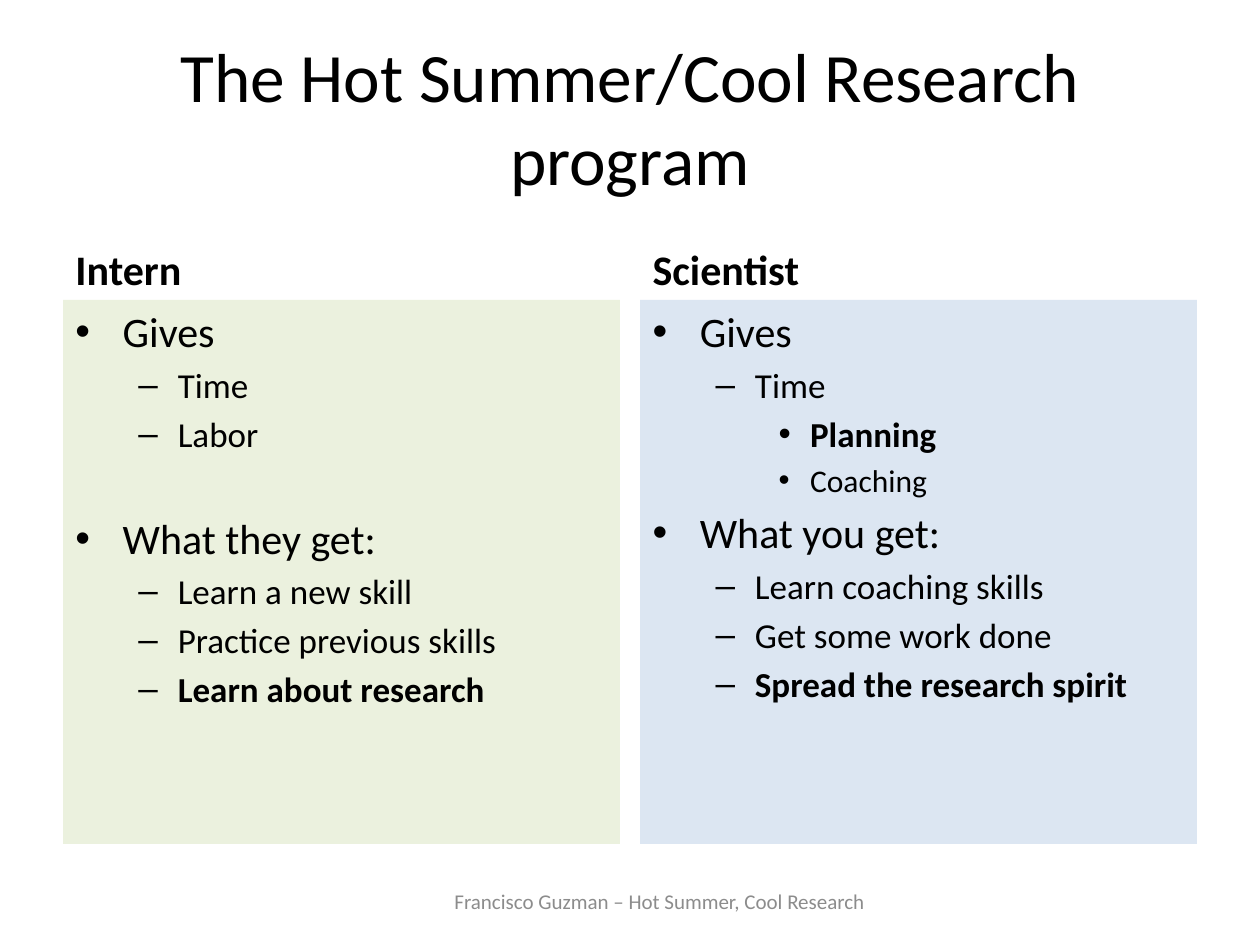
"""Build the slide that compares what interns and scientists give and get."""
from lxml.etree import SubElement
from pptx import Presentation
from pptx.dml.color import RGBColor
from pptx.enum.text import MSO_ANCHOR, PP_ALIGN
from pptx.oxml.ns import qn
from pptx.util import Pt

BLACK = RGBColor(0, 0, 0)
GRAY = RGBColor(0x8C, 0x8C, 0x8C)
GREEN = RGBColor(0xEB, 0xF1, 0xDE)
BLUE = RGBColor(0xDC, 0xE6, 0xF2)
FONT = "Calibri"

TITLE = "The Hot Summer/Cool Research program"
FOOTER = "Francisco Guzman – Hot Summer, Cool Research"

# (level, text, size, bold, extra space before)
PANELS = [
    ("Intern", GREEN, [
        (0, "Gives", 24, False, 0),
        (1, "Time", 20, False, 0),
        (1, "Labor", 20, False, 0),
        (0, "What they get:", 24, False, 28.4),
        (1, "Learn a new skill", 20, False, 0),
        (1, "Practice previous skills", 20, False, 0),
        (1, "Learn about research", 20, True, 0),
    ]),
    ("Scientist", BLUE, [
        (0, "Gives", 24, False, 0),
        (1, "Time", 20, False, 0),
        (2, "Planning", 20, True, 0),
        (2, "Coaching", 18, False, 0),
        (0, "What you get:", 24, False, 0),
        (1, "Learn coaching skills", 20, False, 0),
        (1, "Get some work done", 20, False, 0),
        (1, "Spread the research spirit", 20, True, 0),
    ]),
]
BULLETS = [("•", 27, 27), ("–", 58.5, 22.5), ("•", 90, 18)]

EDGE, WIDTH, GAP = 36, 318.2, 11.6
HEAD_TOP, HEAD_HIGH, BODY_HIGH = 120.9, 50.4, 311


def add_box(slide, left, top, width, height, anchor):
    box = slide.shapes.add_textbox(Pt(left), Pt(top), Pt(width), Pt(height))
    box.text_frame.word_wrap = True
    box.text_frame.vertical_anchor = anchor
    return box


def style(para, text, size, bold=False, color=BLACK, align=PP_ALIGN.LEFT):
    para.text = text
    para.alignment = align
    font = para.font
    font.name, font.size, font.bold = FONT, Pt(size), bold
    font.color.rgb = color


def add_bullet(para, level):
    mark, left, hang = BULLETS[level]
    para.level = level
    props = para._p.get_or_add_pPr()
    props.set("marL", str(Pt(left)))
    props.set("indent", str(-Pt(hang)))
    font = props.find(qn("a:defRPr"))
    face = SubElement(props, qn("a:buFont"), typeface="Arial")
    sign = SubElement(props, qn("a:buChar"), char=mark)
    font.addprevious(face)
    font.addprevious(sign)


def add_panel(slide, left, head, fill, items):
    label = add_box(slide, left, HEAD_TOP, WIDTH, HEAD_HIGH, MSO_ANCHOR.BOTTOM)
    style(label.text_frame.paragraphs[0], head, 24, True)
    body = add_box(slide, left, HEAD_TOP + HEAD_HIGH, WIDTH, BODY_HIGH, MSO_ANCHOR.TOP)
    body.fill.solid()
    body.fill.fore_color.rgb = fill
    frame = body.text_frame
    for index, (level, text, size, bold, extra) in enumerate(items):
        para = frame.add_paragraph() if index else frame.paragraphs[0]
        style(para, text, size, bold)
        para.space_before = Pt(size * 0.2 + extra)
        add_bullet(para, level)


def main():
    deck = Presentation()
    deck.slide_width, deck.slide_height = Pt(720), Pt(540)
    slide = deck.slides.add_slide(deck.slide_layouts[6])
    title = add_box(slide, EDGE, 21.6, 648, 90, MSO_ANCHOR.MIDDLE)
    style(title.text_frame.paragraphs[0], TITLE, 39.6, align=PP_ALIGN.CENTER)
    for index, panel in enumerate(PANELS):
        add_panel(slide, EDGE + index * (WIDTH + GAP), *panel)
    foot = add_box(slide, 246, 500.5, 262, 28.8, MSO_ANCHOR.MIDDLE)
    style(foot.text_frame.paragraphs[0], FOOTER, 12, color=GRAY, align=PP_ALIGN.CENTER)
    deck.save("out.pptx")


if __name__ == "__main__":
    main()
